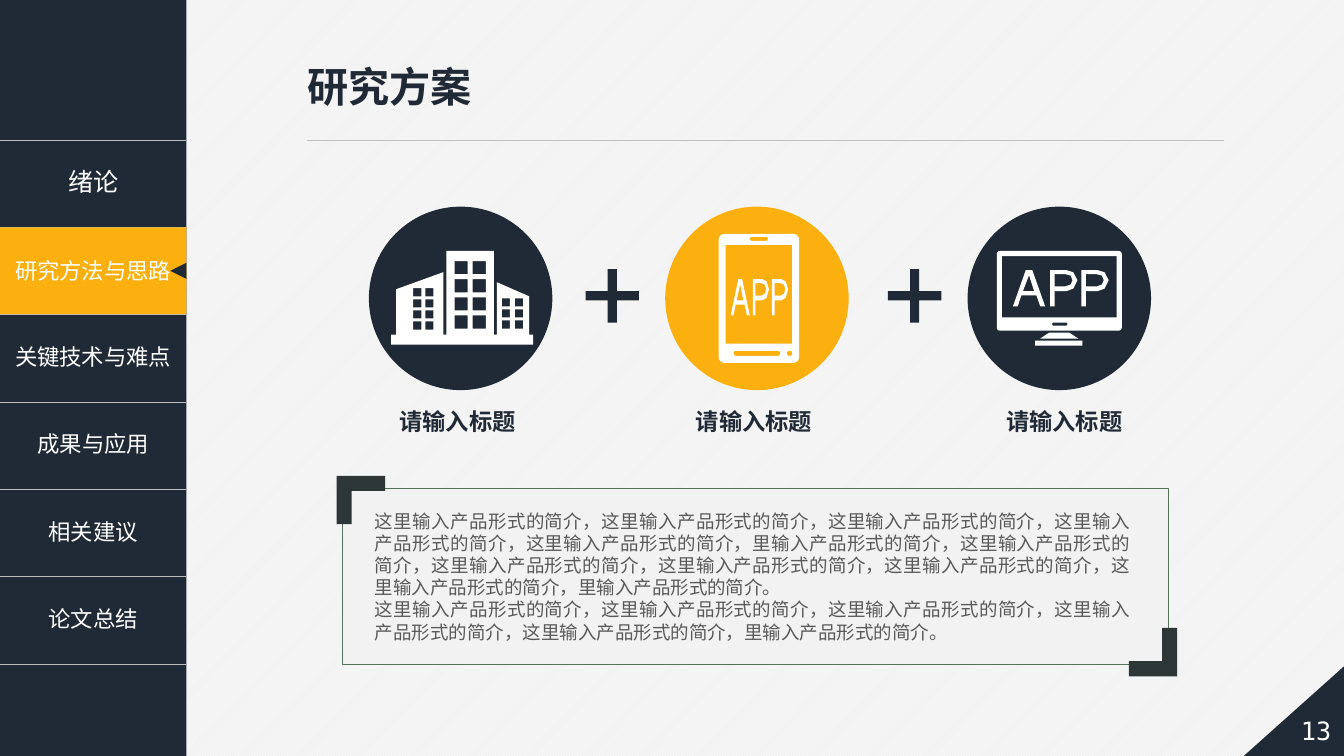
from dataclasses import dataclass
from itertools import product
from math import cos, pi, sin

from lxml.etree import SubElement
from pptx import Presentation
from pptx.dml.color import RGBColor as RGB
from pptx.enum.dml import MSO_PATTERN as PATTERN
from pptx.enum.shapes import MSO_CONNECTOR as CONN, MSO_SHAPE as SHAPE
from pptx.enum.text import MSO_ANCHOR as ANCHOR, PP_ALIGN as ALIGN
from pptx.oxml.ns import qn
from pptx.util import Cm, Pt


@dataclass(frozen=True)
class Theme:
    navy: str = "202A36"
    amber: str = "FCB00F"
    white: str = "FFFFFF"
    paper: str = "F2F2F2"
    rule: str = "BFBFBF"
    frame: str = "55735B"
    bracket: str = "2C3637"
    grey: str = "595959"
    cjk: str = "Noto Sans CJK SC"
    latin: str = "Arial"
    mono: str = "DejaVu Sans Mono"
    title: float = 29.4
    nav_first: float = 18
    nav: float = 16
    label: float = 16.6
    body: float = 13.2
    leading: float = 1.2


T = Theme()
TITLE = "研究方案"
NAV = ["绪论", "研究方法与思路", "关键技术与难点", "成果与应用", "相关建议", "论文总结"]
ACTIVE = 1
PAGE = "13"
BODY = [
    "这里输入产品形式的简介，这里输入产品形式的简介，这里输入产品形式的简介，这里输入产品形式的简介，"
    "这里输入产品形式的简介，里输入产品形式的简介，这里输入产品形式的简介，这里输入产品形式的简介，"
    "这里输入产品形式的简介，这里输入产品形式的简介，这里输入产品形式的简介，里输入产品形式的简介。",
    "这里输入产品形式的简介，这里输入产品形式的简介，这里输入产品形式的简介，这里输入产品形式的简介，"
    "这里输入产品形式的简介，里输入产品形式的简介。",
]
LETTERS = {
    "A": [[(0, 1), (.4, 0), (.6, 0), (1, 1), (.85, 1), (.73, .7), (.26, .7), (.15, 1)],
          [(.31, .58), (.66, .58), (.5, .14)]],
    "P": [[(0, 0), (.59, 0), (.85, .06), (1, .28), (.85, .51), (.59, .58),
           (.16, .58), (.16, 1), (0, 1)],
          [(.16, .11), (.55, .11), (.75, .15), (.82, .28), (.75, .4), (.55, .45), (.16, .45)]],
}
SKYLINE = [(5.25, 3.32), (5.25, 2.94), (4.93, 2.8), (4.93, 3.32), (4.9, 3.32), (4.9, 2.49),
           (4.43, 2.49), (4.43, 3.32), (4.4, 3.32), (4.4, 2.7), (3.93, 2.87), (3.93, 3.32),
           (3.88, 3.32), (3.88, 3.42), (5.29, 3.42), (5.29, 3.32)]
WINDOWS = [(4.1, 2.86, 2, 4, .12, .11, .08), (4.51, 2.59, 2, 4, .18, .18, .13),
           (4.98, 2.96, 2, 3, .13, .11, .08)]


def unit(v):
    return Cm(v * 2.54)


def box(x, y, w, h):
    return [(x, y), (x + w, y), (x + w, y + h), (x, y + h)]


def rounded(x, y, w, h, r, steps=6):
    centres = [(x + w - r, y + h - r), (x + r, y + h - r), (x + r, y + r), (x + w - r, y + r)]
    return [(cx + r * cos(a), cy + r * sin(a)) for q, (cx, cy) in enumerate(centres)
            for a in [(q + i / steps) * pi / 2 for i in range(steps + 1)]]


def windows(x, y, cols, rows, dx, dy, size):
    return [box(x + c * dx, y + r * dy, size, size) for c, r in product(range(cols), range(rows))]


def word(text, spans, y, h):
    return [[(x + u * w, y + v * h) for u, v in ring]
            for ch, (x, w) in zip(text, spans) for ring in LETTERS[ch]]


BUILDINGS = [SKYLINE] + [ring for block in WINDOWS for ring in windows(*block)]
PHONE = [rounded(7.13, 2.32, .8, 1.28, .06), rounded(7.44, 2.35, .18, .04, .02),
         rounded(7.28, 3.48, .46, .05, .02), rounded(7.81, 3.48, .05, .05, .02),
         box(7.2, 2.43, .66, .98)]
PHONE += word("APP", [(7.25, .19), (7.47, .16), (7.66, .16)], 2.77, .36)
MONITOR = [rounded(9.89, 2.49, 1.24, .79, .03), rounded(10.44, 3.2, .15, .03, .01),
           box(9.94, 2.54, 1.14, .61), box(10.27, 3.38, .47, .05),
           [(10.7, 3.36), (10.32, 3.36), (10.41, 3.3), (10.61, 3.3)]]
MONITOR += word("APP", [(10.05, .32), (10.42, .27), (10.73, .27)], 2.68, .36)

STEPS = [("请输入标题", 3.66, 3.79, T.navy, BUILDINGS), ("请输入标题", 6.6, 6.73, T.amber, PHONE),
         ("请输入标题", 9.6, 9.81, T.navy, MONITOR)]
PLUSES = [5.81, 8.81]
BRACKETS = [(3.34, 4.72, 1), (11.68, 6.71, -1)]


def paint(sp, fill, line=None, width=.75):
    sp.shadow.inherit = False
    if fill:
        sp.fill.solid()
        sp.fill.fore_color.rgb = RGB.from_string(fill)
    else:
        sp.fill.background()
    if line:
        sp.line.color.rgb = RGB.from_string(line)
        sp.line.width = Pt(width)
    else:
        sp.line.fill.background()
    return sp


def shape(shapes, kind, at, fill, line=None, flip=False):
    sp = paint(shapes.add_shape(kind, *map(unit, at)), fill, line)
    if flip:
        sp._element.spPr.find(qn("a:xfrm")).set("flipH", "1")
    return sp


def outline(shapes, rings, fill):
    rings = [[(unit(x), unit(y)) for x, y in ring] for ring in rings]
    fb = shapes.build_freeform(*rings[0][0])
    for i, ring in enumerate(rings):
        if i:
            fb.move_to(*ring[0])
        fb.add_line_segments(ring[1:], close=True)
    return paint(fb.convert_to_shape(), fill)


def write(tf, lines, size, color, name=T.cjk, bold=False, align=ALIGN.CENTER):
    for i, line in enumerate(lines):
        p = tf.add_paragraph() if i else tf.paragraphs[0]
        for key, value in dict(alignment=align, line_spacing=Pt(size * T.leading)).items():
            setattr(p, key, value)
        r = p.add_run()
        r.text = line
        for key, value in dict(size=Pt(size), bold=bold, name=name).items():
            setattr(r.font, key, value)
        r.font.color.rgb = RGB.from_string(color)
        SubElement(r._r.get_or_add_rPr(), qn("a:ea")).set("typeface", name)


def label(shapes, at, lines, *style, wrap=True, **more):
    tf = shapes.add_textbox(*map(unit, at)).text_frame
    tf.word_wrap = wrap
    write(tf, lines, *style, **more)


def border(cell, color, width):
    tc = cell._tc.get_or_add_tcPr()
    for i, side in enumerate(("a:lnL", "a:lnR", "a:lnT", "a:lnB")):
        ln = tc.makeelement(qn(side), {"w": str(Pt(width))})
        if side in ("a:lnT", "a:lnB"):
            SubElement(SubElement(ln, qn("a:solidFill")), qn("a:srgbClr")).set("val", color)
        else:
            SubElement(ln, qn("a:noFill"))
        tc.insert(i, ln)


def sidebar(shapes):
    top, width, row = 1.39, 1.85, 5.2 / len(NAV)
    shape(shapes, SHAPE.RECTANGLE, (0, 0, width, 7.5), T.navy)
    table = shapes.add_table(len(NAV), 1, *map(unit, (0, top, width, row * len(NAV)))).table
    for key in ("first_row", "horz_banding"):
        setattr(table, key, False)
    for i, name in enumerate(NAV):
        cell = table.cell(i, 0)
        cell.fill.background()
        cell.vertical_anchor = ANCHOR.MIDDLE
        border(cell, T.rule, 1)
        write(cell.text_frame, [name], T.nav if i else T.nav_first, T.white)
    g = shapes.add_group_shape().shapes
    y = top + ACTIVE * row
    tab = shape(g, SHAPE.RECTANGLE, (0, y, width, .86), T.amber)
    write(tab.text_frame, [NAV[ACTIVE]], T.nav, T.white)
    shape(g, SHAPE.ISOSCELES_TRIANGLE, (width - .16, y + .35, .16, .16), T.navy).rotation = 270


def header(shapes):
    line = shapes.add_connector(CONN.STRAIGHT, *map(unit, (3.05, 1.39, 12.14, 1.39)))
    line.line.color.rgb = RGB.from_string(T.rule)
    line.line.width = Pt(.5)
    SubElement(line._element.spPr, qn("a:effectLst"))
    label(shapes, (2.95, .56, 1.85, .59), [TITLE], T.title, T.navy, T.latin,
          wrap=False, bold=True, align=ALIGN.LEFT)


def page_number(shapes):
    shape(shapes, SHAPE.RIGHT_TRIANGLE, (12.33, 6.58, 1.04, .93), T.navy, flip=True)
    sp = shape(shapes, SHAPE.PENTAGON, (12.45, 6.97, 1.08, .55), None, flip=True)
    write(sp.text_frame, [PAGE], T.nav_first, T.white, T.mono)


def steps(shapes):
    for text, x, text_x, color, icon in STEPS:
        g = shapes.add_group_shape().shapes
        shape(g, SHAPE.OVAL, (x, 2.05, 1.82, 1.82), color)
        outline(g, icon, T.white)
        label(shapes, (text_x, 3.99, 1.5, .38), [text], T.label, T.navy, bold=True)
    a, b, c = .22, .31, .53
    cross = [(a, c), (a, b), (0, b), (0, a), (a, a), (a, 0),
             (b, 0), (b, a), (c, a), (c, b), (b, b), (b, c)]
    for x in PLUSES:
        outline(shapes, [[(x + u, 2.67 + v) for u, v in cross]], T.navy)


def summary(shapes):
    shape(shapes, SHAPE.RECTANGLE, (3.4, 4.85, 8.19, 1.74), T.paper, T.frame)
    label(shapes, (3.62, 5.01, 7.69, 1.44), BODY, T.body, T.grey, align=ALIGN.JUSTIFY)
    arm, thick = .48, .15
    corner = [(0, 0), (arm, 0), (arm, thick), (thick, thick), (thick, arm), (0, arm)]
    for x, y, sign in BRACKETS:
        outline(shapes, [[(x + sign * u, y + sign * v) for u, v in corner]], T.bracket)


prs = Presentation()
prs.slide_width, prs.slide_height = Cm(33.87), Cm(19.05)
s = prs.slides.add_slide(prs.slide_layouts[6])
bg = s.background.fill
bg.patterned()
bg.pattern = PATTERN.LIGHT_UPWARD_DIAGONAL
bg.fore_color.rgb = RGB.from_string(T.white)
bg.back_color.rgb = RGB.from_string(T.paper)
for part in (sidebar, header, page_number, steps, summary):
    part(s.shapes)
prs.save("out.pptx")
